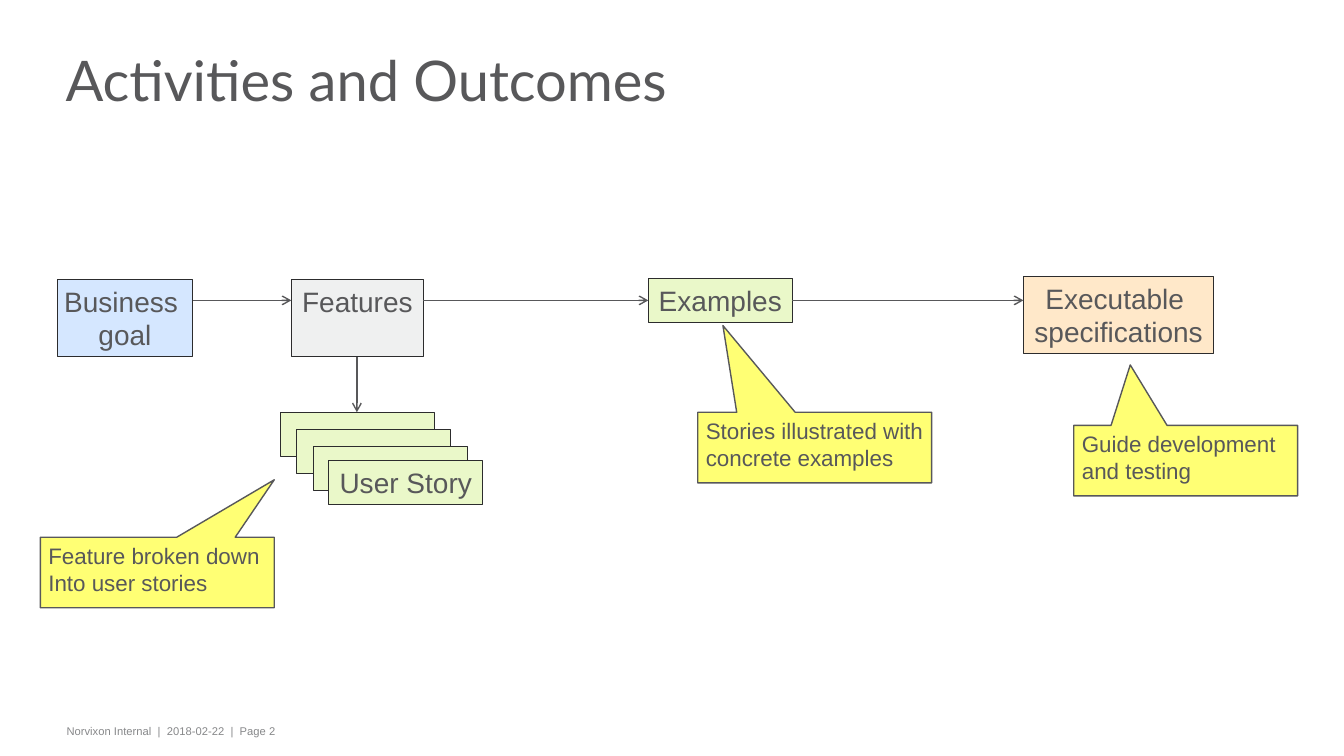
from dataclasses import dataclass

from lxml.etree import SubElement
from pptx import Presentation
from pptx.dml.color import RGBColor
from pptx.enum.shapes import MSO_CONNECTOR, MSO_SHAPE
from pptx.enum.text import MSO_ANCHOR, MSO_AUTO_SIZE, PP_ALIGN
from pptx.oxml.ns import qn
from pptx.util import Inches, Pt


@dataclass(frozen=True)
class Theme:
    text: str = "58585A"
    muted: str = "87888A"
    border: str = "2C2C2D"
    blue: str = "D5E7FF"
    grey: str = "EFF0F0"
    green: str = "EAF8C9"
    orange: str = "FFE8C9"
    yellow: str = "FFFF74"
    title_font: str = "Lato"
    body_font: str = "Arial"
    title_size: int = 40
    box_size: int = 20
    note_size: int = 16
    footer_size: int = 8


def rgb(value):
    return RGBColor.from_string(value)


def write(tf, text, *, size, color, font, align=PP_ALIGN.LEFT, anchor=MSO_ANCHOR.TOP,
          wrap=False, inset=(0.08, 0.05), spacing=None):
    tf.auto_size = MSO_AUTO_SIZE.NONE
    tf.word_wrap = wrap
    tf.vertical_anchor = anchor
    tf.margin_left = tf.margin_right = Inches(inset[0])
    tf.margin_top = tf.margin_bottom = Inches(inset[1])
    for i, line in enumerate(text.split("\n")):
        p = tf.add_paragraph() if i else tf.paragraphs[0]
        p.alignment = align
        if spacing:
            p.line_spacing = spacing
        r = p.add_run()
        r.text = line
        r.font.size = Pt(size)
        r.font.name = font
        r.font.color.rgb = rgb(color)


class Diagram:
    def __init__(self, slide, theme):
        self.slide = slide
        self.theme = theme

    def title(self, text, left, top, width, height):
        t = self.theme
        sp = self.slide.shapes.title
        sp.left, sp.top, sp.width, sp.height = map(Inches, (left, top, width, height))
        write(sp.text_frame, text, size=t.title_size, color=t.text, font=t.title_font,
              anchor=MSO_ANCHOR.MIDDLE, wrap=True, inset=(0.08, 0), spacing=0.75)

    def footer(self, text, left, top, width, height):
        t = self.theme
        sp = self.slide.shapes.add_textbox(*map(Inches, (left, top, width, height)))
        write(sp.text_frame, text, size=t.footer_size, color=t.muted,
              font=t.body_font, wrap=True)

    def shape(self, kind, bounds, fill, line, weight):
        sp = self.slide.shapes.add_shape(kind, *map(Inches, bounds))
        sp.shadow.inherit = False
        sp.fill.solid()
        sp.fill.fore_color.rgb = rgb(fill)
        sp.line.color.rgb = rgb(line)
        sp.line.width = Pt(weight)
        return sp

    def box(self, text, left, top, width, height, fill):
        t = self.theme
        sp = self.shape(MSO_SHAPE.RECTANGLE, (left, top, width, height),
                        fill, t.border, 0.75)
        if text:
            write(sp.text_frame, text, size=t.box_size, color=t.text, font=t.body_font,
                  align=PP_ALIGN.CENTER, inset=(0.1, 0.05))

    def callout(self, text, left, top, width, height, tip):
        t = self.theme
        sp = self.shape(MSO_SHAPE.RECTANGULAR_CALLOUT, (left, top, width, height),
                        t.yellow, t.text, 1)
        sp.adjustments[0] = (tip[0] - left) / width - 0.5
        sp.adjustments[1] = (tip[1] - top) / height - 0.5
        write(sp.text_frame, text, size=t.note_size, color=t.text, font=t.body_font)

    def arrow(self, x1, y1, x2, y2):
        cx = self.slide.shapes.add_connector(
            MSO_CONNECTOR.STRAIGHT, *map(Inches, (x1, y1, x2, y2)))
        cx.line.color.rgb = rgb(self.theme.text)
        cx.line.width = Pt(1)
        SubElement(cx.line._get_or_add_ln(), qn("a:tailEnd"), type="arrow")
        SubElement(cx._element.spPr, qn("a:effectLst"))


def main():
    prs = Presentation()
    prs.slide_width, prs.slide_height = Inches(13.33), Inches(7.5)
    theme = Theme()
    d = Diagram(prs.slides.add_slide(prs.slide_layouts[5]), theme)

    d.title("Activities and Outcomes", 0.57, 0.26, 10.93, 1.19)
    d.footer("Norvixon Internal  |  2018-02-22  |  Page 2", 0.58, 7.14, 10.79, 0.24)

    stories = [(2.78, 4.09, ""), (2.94, 4.26, ""), (3.11, 4.43, ""),
               (3.26, 4.57, "User Story")]
    for left, top, text in stories:
        d.box(text, left, top, 1.53, 0.44, theme.green)

    steps = [
        ("Business \ngoal", 0.57, 2.77, 1.34, 0.77, theme.blue),
        ("Features", 2.89, 2.77, 1.31, 0.77, theme.grey),
        ("Examples", 6.43, 2.76, 1.43, 0.44, theme.green),
        ("Executable \nspecifications", 10.15, 2.74, 1.89, 0.77, theme.orange),
    ]
    for step in steps:
        d.box(*step)
    for (_, left, _, width, *_), (_, target, *_) in zip(steps, steps[1:]):
        d.arrow(left + width, 2.98, target, 2.98)
    d.arrow(3.54, 3.54, 3.54, 4.09)

    d.callout("Feature broken down\nInto user stories", 0.4, 5.33, 2.32, 0.7, (2.72, 4.76))
    d.callout("Guide development\nand testing", 10.65, 4.22, 2.22, 0.7, (11.21, 3.62))
    d.callout("Stories illustrated with\nconcrete examples", 6.92, 4.09, 2.32, 0.7,
              (7.17, 3.23))

    prs.save("out.pptx")


if __name__ == "__main__":
    main()
